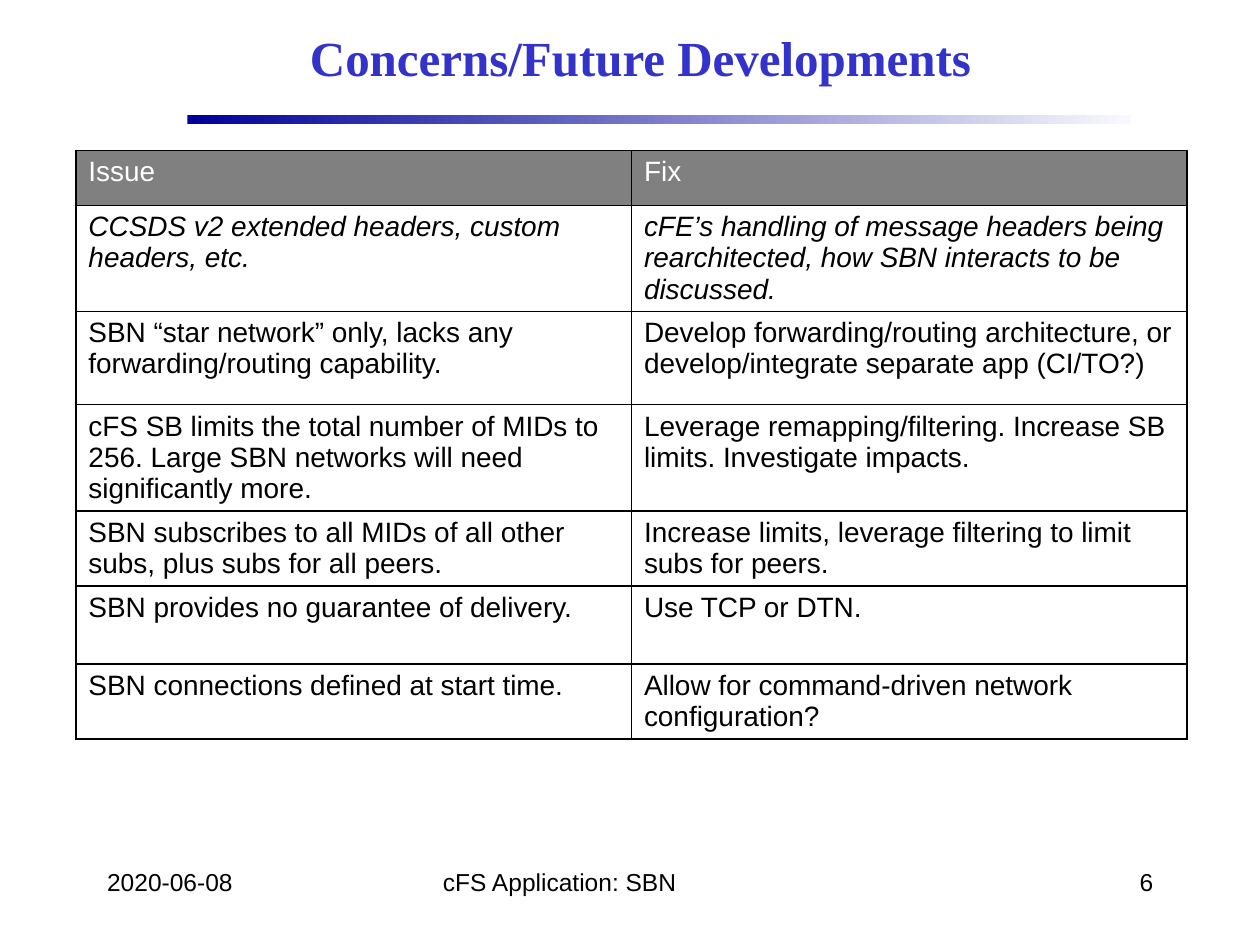
from lxml.etree import SubElement
from pptx import Presentation
from pptx.dml.color import RGBColor
from pptx.enum.shapes import MSO_SHAPE
from pptx.enum.text import MSO_ANCHOR, PP_ALIGN
from pptx.oxml.ns import qn
from pptx.util import Cm, Pt

COLORS = {
    "title": "3333CC", "bar_start": "000099", "bar_end": "F9F9FD",
    "header": "808080", "white": "FFFFFF", "black": "000000",
}
ROWS = [
    ("Issue", "Fix"),
    ("CCSDS v2 extended headers, custom headers, etc.",
     "cFE’s handling of message headers being rearchitected, "
     "how SBN interacts to be discussed."),
    ("SBN “star network” only, lacks any forwarding/routing capability.",
     "Develop forwarding/routing architecture, or "
     "develop/integrate separate app (CI/TO?)"),
    ("cFS SB limits the total number of MIDs to 256. "
     "Large SBN networks will need significantly more.",
     "Leverage remapping/filtering. Increase SB limits. Investigate impacts."),
    ("SBN subscribes to all MIDs of all other subs, plus subs for all peers.",
     "Increase limits, leverage filtering to limit subs for peers."),
    ("SBN provides no guarantee of delivery.", "Use TCP or DTN."),
    ("SBN connections defined at start time.",
     "Allow for command-driven network configuration?"),
]
ROW_HEIGHTS = [1.11, 2.13, 1.88, 2.15, 1.51, 1.57, 1.5]


def rgb(name):
    return RGBColor.from_string(COLORS[name])


def write(tf, text, size=14, font="Arial", color="black", bold=False,
          italic=False, align=PP_ALIGN.LEFT):
    tf.word_wrap = True
    p = tf.paragraphs[0]
    p.alignment = align
    r = p.add_run()
    r.text = text
    r.font.size, r.font.name = Pt(size), font
    r.font.bold, r.font.italic = bold, italic
    r.font.color.rgb = rgb(color)


def add_border(cell, width=1):
    tc_pr = cell._tc.get_or_add_tcPr()
    for i, side in enumerate(("lnL", "lnR", "lnT", "lnB")):
        ln = SubElement(tc_pr, qn("a:" + side), w=str(Pt(width)))
        fill = SubElement(ln, qn("a:solidFill"))
        SubElement(fill, qn("a:srgbClr"), val=COLORS["black"])
        # Borders come before the cell fill
        tc_pr.insert(i, ln)


def add_heading(s, x, y, w, h):
    # Title
    title = s.shapes.title
    title.left, title.top, title.width, title.height = (
        Cm(x), Cm(y), Cm(w), Cm(h))
    title.text_frame.vertical_anchor = MSO_ANCHOR.MIDDLE
    write(title.text_frame, "Concerns/Future Developments", size=28,
          font="Times New Roman", color="title", bold=True,
          align=PP_ALIGN.CENTER)
    # Fading bar under the title
    bar = s.shapes.add_shape(MSO_SHAPE.RECTANGLE, Cm(x - 0.03),
                             Cm(y + h + 0.22), Cm(19.02), Cm(0.18))
    bar.shadow.inherit = False
    bar.line.fill.background()
    bar.fill.gradient()
    bar.fill.gradient_angle = 0
    for stop, name in zip(bar.fill.gradient_stops, ("bar_start", "bar_end")):
        stop.color.rgb = rgb(name)


def add_issue_table(s, x, y, w):
    frame = s.shapes.add_table(len(ROWS), 2, Cm(x), Cm(y), Cm(w),
                               Cm(sum(ROW_HEIGHTS)))
    table = frame.table
    for col in table.columns:
        col.width = Cm(w / 2)
    for i, (texts, height) in enumerate(zip(ROWS, ROW_HEIGHTS)):
        table.rows[i].height = Cm(height)
        for j, text in enumerate(texts):
            cell = table.cell(i, j)
            cell.fill.solid()
            cell.fill.fore_color.rgb = rgb("white" if i else "header")
            write(cell.text_frame, text, size=16, italic=i == 1,
                  color="black" if i else "white")
            add_border(cell)


def add_footer(s, x, y, w, h):
    parts = [
        ("2020-06-08", 0, 5.29, PP_ALIGN.LEFT),
        ("cFS Application: SBN", 6.77, 8.04, PP_ALIGN.LEFT),
        ("6", w - 5.29, 5.29, PP_ALIGN.RIGHT),
    ]
    for text, dx, width, align in parts:
        box = s.shapes.add_textbox(Cm(x + dx), Cm(y), Cm(width), Cm(h))
        write(box.text_frame, text, align=align)


prs = Presentation()
prs.slide_width, prs.slide_height = Cm(25.4), Cm(19.05)
s = prs.slides.add_slide(prs.slide_layouts[5])
add_heading(s, 3.81, 0.2, 18.2, 1.9)
add_issue_table(s, 1.53, 3.03, 22.4)
add_footer(s, 1.91, 17.35, 21.59, 1.27)
prs.save("out.pptx")
